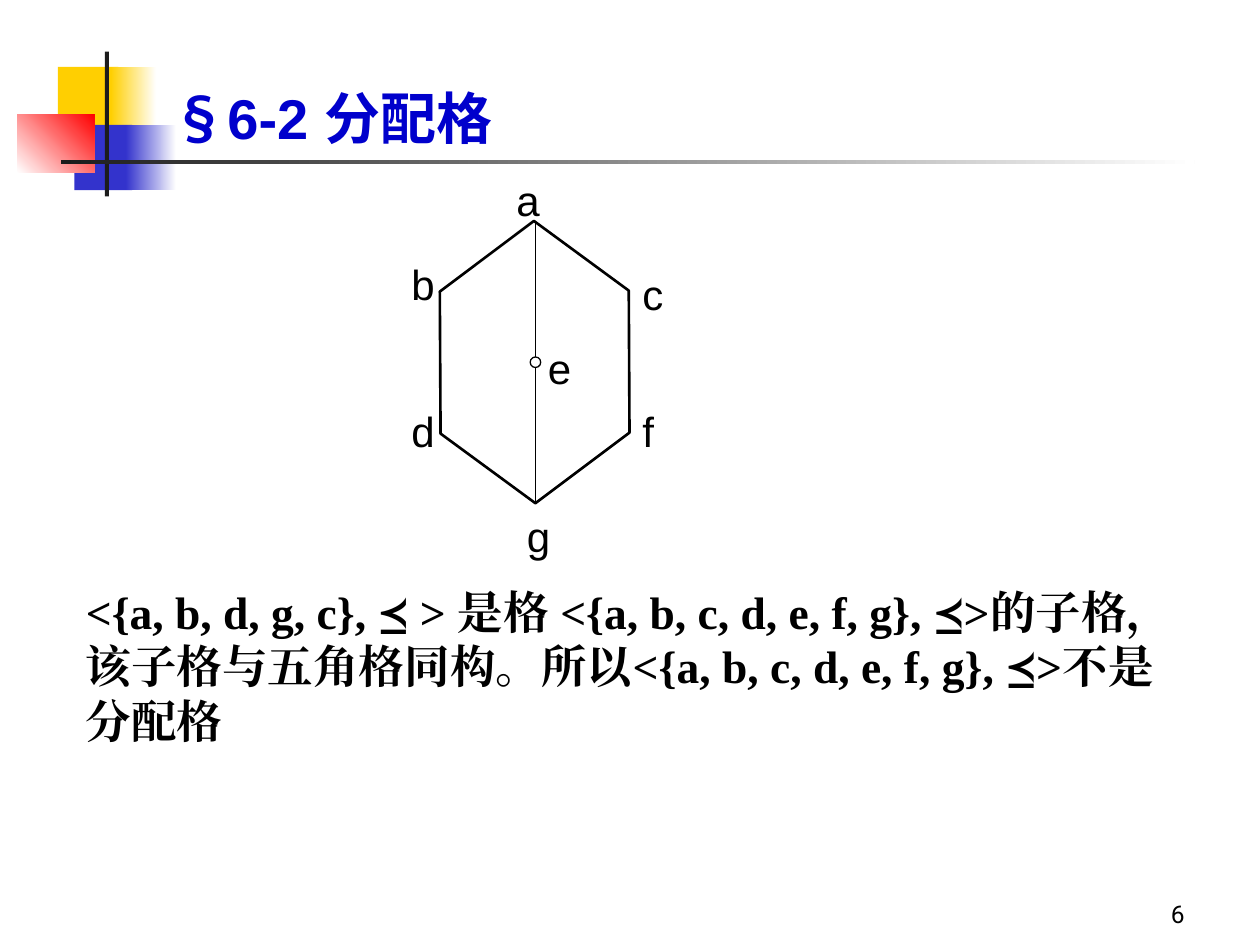
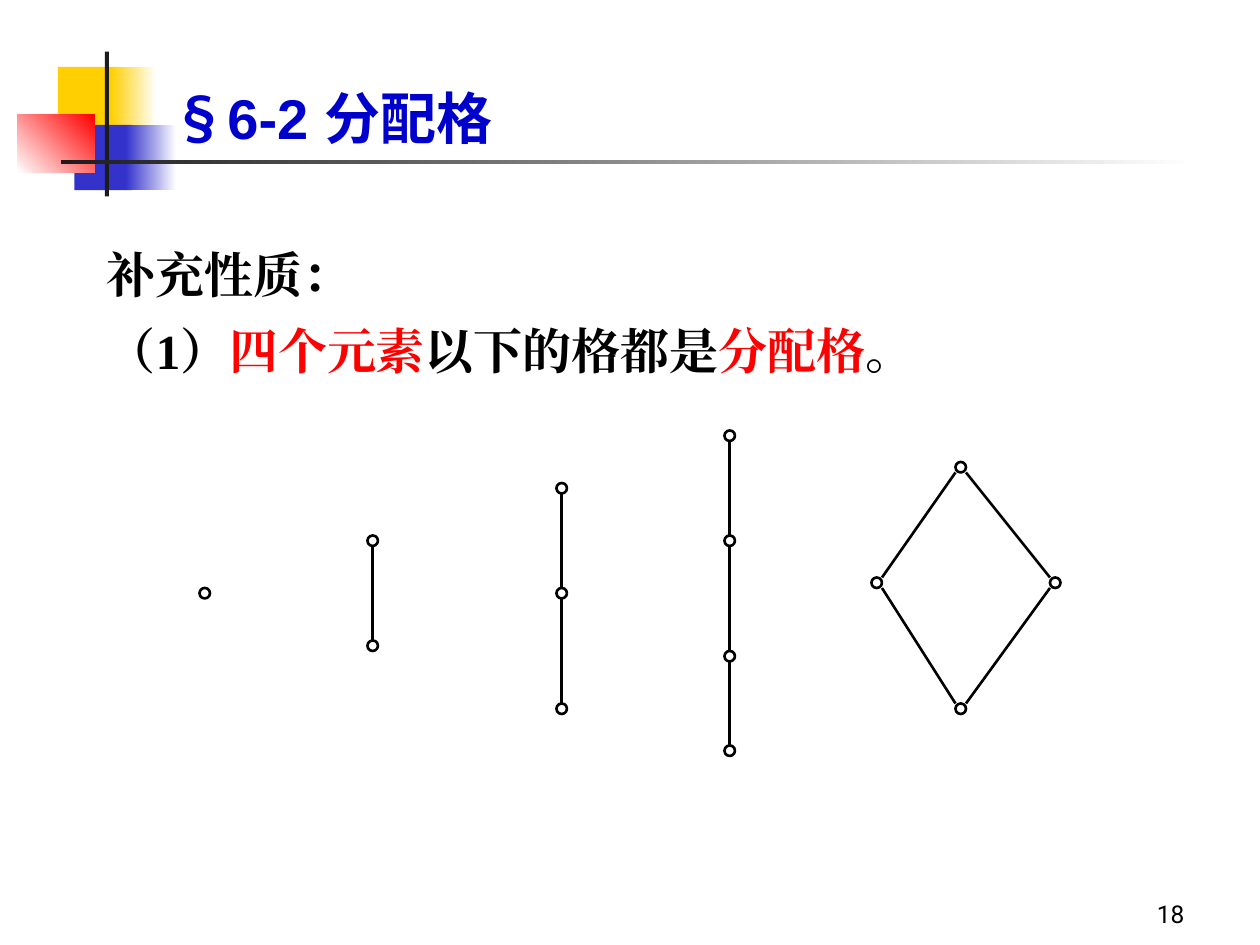
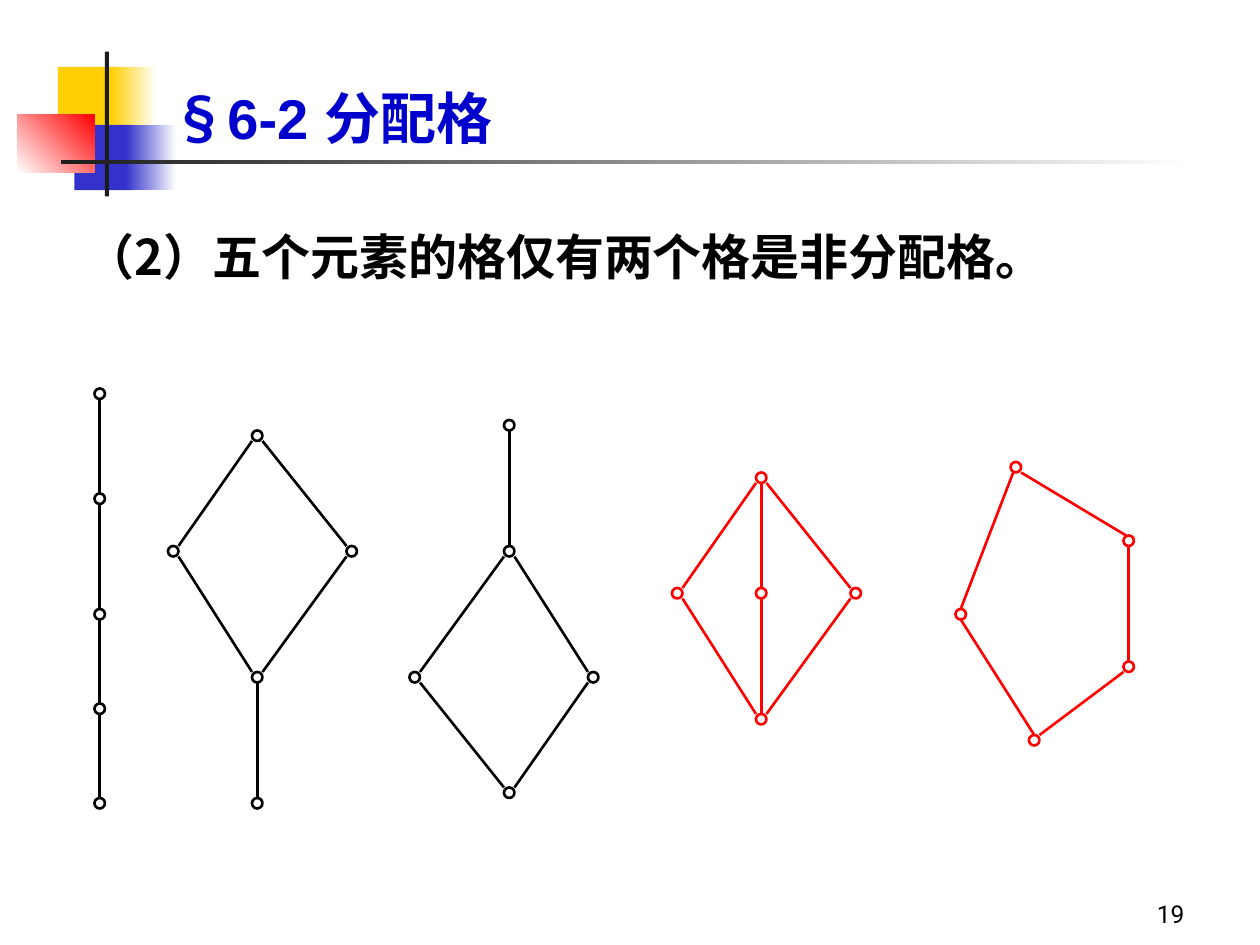
"""Build three slides on distributive lattices with their Hasse diagrams."""
from dataclasses import dataclass
from itertools import pairwise
from typing import Any

from lxml.etree import SubElement
from pptx import Presentation
from pptx.dml.color import RGBColor
from pptx.enum.shapes import MSO_CONNECTOR, MSO_SHAPE
from pptx.enum.text import MSO_ANCHOR, MSO_AUTO_SIZE, PP_ALIGN
from pptx.oxml.ns import qn
from pptx.util import Pt

BLACK, WHITE, RED = "000000", "FFFFFF", "FF0000"
YELLOW, BLUE, CHARCOAL, TITLE_BLUE = "FFCF01", "3333CC", "1C1C1C", "0000CC"
SANS, SERIF, LATIN, NUMBER = "Noto Sans CJK SC", "Times New Roman", "Arial", "Roboto"
RADIUS = 3
TITLE_ONLY = 5


@dataclass(frozen=True)
class Box:
    left: float
    top: float
    width: float
    height: float

    def lengths(self) -> tuple[Pt, ...]:
        return tuple(Pt(v) for v in (self.left, self.top, self.width, self.height))


@dataclass(frozen=True)
class Band:
    box: Box
    start: str
    end: str | None = None
    angle: float = 0


@dataclass(frozen=True)
class Span:
    text: str
    size: float
    font: str
    color: str = BLACK
    bold: bool = False
    east_asian: str | None = None


@dataclass(frozen=True)
class Node:
    x: float
    y: float


@dataclass(frozen=True)
class Edge:
    start: Node
    end: Node
    start_lean: float = RADIUS
    end_lean: float = RADIUS


@dataclass(frozen=True)
class Diagram:
    nodes: list[Node]
    edges: list[Edge]
    color: str = BLACK


BANDS = [
    Band(Box(33.1, 38.2, 34.6, 37.4), YELLOW),
    Band(Box(63.4, 38.2, 25.9, 37.4), YELLOW, WHITE),
    Band(Box(42.5, 71.3, 33.1, 37.4), BLUE),
    Band(Box(72, 71.3, 28.8, 37.4), BLUE, WHITE),
    Band(Box(10, 65.4, 44, 33.3), WHITE, RED, 45),
    Band(Box(60, 29.5, 2.2, 82.8), CHARCOAL),
    Band(Box(34.7, 91.5, 648, 2.4), CHARCOAL, WHITE),
]
TITLE_BOX = Box(90.7, 0, 613.4, 90)
NUMBER_BOX = Box(534, 498, 150, 36)
TITLE = [
    Span("§", 32, SANS, TITLE_BLUE, True, SANS),
    Span("6-2 ", 32, LATIN, TITLE_BLUE, True),
    Span("分配格", 32, SANS, TITLE_BLUE, True, SANS),
]
LABELS = {
    "a": (288, 96), "b": (228, 144), "c": (360, 150), "d": (228, 228),
    "f": (360, 228), "g": (294, 288), "e": (306, 192),
}


def rgb(color: str) -> RGBColor:
    return RGBColor.from_string(color)


def apply_format(target: Any, values: dict[str, Any]) -> None:
    for name, value in values.items():
        setattr(target, name, value)


def draw_band(slide: Any, band: Band) -> Any:
    shape = slide.shapes.add_shape(MSO_SHAPE.RECTANGLE, *band.box.lengths())
    shape.shadow.inherit = False
    shape.line.fill.background()
    if band.end is None:
        shape.fill.solid()
        shape.fill.fore_color.rgb = rgb(band.start)
    else:
        shape.fill.gradient()
        shape.fill.gradient_angle = band.angle
        for stop, color in zip(shape.fill.gradient_stops, (band.start, band.end)):
            stop.color.rgb = rgb(color)
    return shape


def decorate_master(presentation: Any, slide: Any) -> None:
    tree = presentation.slide_master.shapes.element
    for index, band in enumerate(BANDS):
        element = draw_band(slide, band).element
        element.xpath(".//p:cNvPr")[0].set("id", str(20 + index))
        tree.insert(2 + index, element)


def fill_paragraph(paragraph: Any, spans: list[Span]) -> None:
    for span in spans:
        run = paragraph.add_run()
        run.text = span.text
        apply_format(run.font, {"size": Pt(span.size), "name": span.font, "bold": span.bold})
        run.font.color.rgb = rgb(span.color)
        if span.east_asian:
            SubElement(run.font._element, qn("a:ea")).set("typeface", span.east_asian)


def add_text(slide: Any, box: Box, paragraphs: list[list[Span]],
             anchor: Any = MSO_ANCHOR.TOP, **values: Any) -> None:
    frame = slide.shapes.add_textbox(*box.lengths()).text_frame
    apply_format(frame, {"word_wrap": True, "vertical_anchor": anchor})
    for index, spans in enumerate(paragraphs):
        paragraph = frame.add_paragraph() if index else frame.paragraphs[0]
        apply_format(paragraph, values)
        fill_paragraph(paragraph, spans)


def add_titled_slide(presentation: Any, number: int) -> Any:
    slide = presentation.slides.add_slide(presentation.slide_layouts[TITLE_ONLY])
    title = slide.shapes.title
    apply_format(title, dict(zip(("left", "top", "width", "height"), TITLE_BOX.lengths())))
    apply_format(title.text_frame, {
        "word_wrap": True,
        "auto_size": MSO_AUTO_SIZE.NONE,
        "vertical_anchor": MSO_ANCHOR.BOTTOM,
    })
    paragraph = title.text_frame.paragraphs[0]
    paragraph.alignment = PP_ALIGN.LEFT
    fill_paragraph(paragraph, TITLE)
    add_text(slide, NUMBER_BOX, [[Span(str(number), 14, NUMBER)]],
             MSO_ANCHOR.BOTTOM, alignment=PP_ALIGN.RIGHT)
    return slide


def draw_outline(slide: Any, kind: Any, box: Box, color: str, width: float) -> Any:
    shape = slide.shapes.add_shape(kind, *box.lengths())
    shape.shadow.inherit = False
    shape.fill.background()
    shape.line.color.rgb = rgb(color)
    shape.line.width = Pt(width)
    return shape


def draw_node(slide: Any, node: Node, color: str, width: float = 1.5) -> None:
    box = Box(node.x - RADIUS, node.y - RADIUS, 2 * RADIUS, 2 * RADIUS)
    draw_outline(slide, MSO_SHAPE.OVAL, box, color, width)


def draw_line(slide: Any, start: Node, end: Node, color: str, width: float = 1.5) -> None:
    ends = (Pt(v) for v in (start.x, start.y, end.x, end.y))
    line = slide.shapes.add_connector(MSO_CONNECTOR.STRAIGHT, *ends)
    line.line.color.rgb = rgb(color)
    line.line.width = Pt(width)
    SubElement(line.element.spPr, qn("a:effectLst"))


def sign(value: float) -> int:
    return (value > 0) - (value < 0)


def draw_edge(slide: Any, edge: Edge, color: str) -> None:
    across = sign(edge.end.x - edge.start.x)
    down = sign(edge.end.y - edge.start.y) * RADIUS
    start = Node(edge.start.x + across * edge.start_lean, edge.start.y + down)
    end = Node(edge.end.x - across * edge.end_lean, edge.end.y - down)
    draw_line(slide, start, end, color)


def draw_diagram(slide: Any, diagram: Diagram) -> None:
    for node in diagram.nodes:
        draw_node(slide, node, diagram.color)
    for edge in diagram.edges:
        draw_edge(slide, edge, diagram.color)


def chain(x: float, *heights: float) -> Diagram:
    nodes = [Node(x, y) for y in heights]
    return Diagram(nodes, [Edge(*pair) for pair in pairwise(nodes)])


def diamond(x: float, y: float, turn: int = 1, middle: float | None = None,
            tail: float | None = None, color: str = BLACK) -> Diagram:
    offsets = ((0, 0), (-48, 66), (54, 66), (0, 138))
    first, near, far, last = nodes = [Node(x + turn * dx, y + turn * dy) for dx, dy in offsets]
    edges = [Edge(first, near), Edge(first, far), Edge(near, last), Edge(far, last)]
    if middle is not None:
        center = Node(x, middle)
        nodes.append(center)
        edges += [Edge(first, center), Edge(center, last)]
    if tail is not None:
        tip = Node(x, tail)
        nodes.append(tip)
        edges.append(Edge(last, tip))
    return Diagram(nodes, edges, color)


def pentagon() -> Diagram:
    top, left, bottom = Node(580.5, 267), Node(549, 351), Node(591, 423)
    upper_right, lower_right = Node(645, 309), Node(645, 381)
    edges = [
        Edge(top, left, 1.5, 0),
        Edge(left, bottom, 0, 0),
        Edge(top, upper_right, RADIUS, 1.5),
        Edge(upper_right, lower_right),
        Edge(lower_right, bottom),
    ]
    return Diagram([top, left, bottom, upper_right, lower_right], edges, RED)


def build_sublattice(slide: Any) -> None:
    hexagon = draw_outline(slide, MSO_SHAPE.HEXAGON, Box(224.9, 152.9, 161.3, 108), BLACK, 1.5)
    hexagon.rotation = 269.7
    for index, value in enumerate((0.371, 1.155)):
        hexagon.adjustments[index] = value
    center = Node(306, 207)
    draw_node(slide, center, BLACK, 0.75)
    for tip, side in ((126, -RADIUS), (288, RADIUS)):
        draw_line(slide, Node(center.x, tip), Node(center.x, center.y + side), BLACK, 0.75)
    for label, (left, top) in LABELS.items():
        add_text(slide, Box(left, top, 36, 36), [[Span(label, 24, LATIN)]])
    sentence = ("<{a, b, d, g, c}, ≼ > 是格 <{a, b, c, d, e, f, g}, ≼>的子格，"
                "该子格与五角格同构。所以<{a, b, c, d, e, f, g}, ≼>不是分配格")
    add_text(slide, Box(42, 330, 648, 101.5),
             [[Span(sentence, 26, SERIF, bold=True, east_asian=SERIF)]])


def build_small_lattices(slide: Any) -> None:
    parts = [("（1）", BLACK), ("四个元素", RED), ("以下的格都是", BLACK),
             ("分配格", RED), ("。", BLACK)]
    lines = [[("补充性质：", BLACK)], parts]
    paragraphs = [[Span(text, 28, SERIF, color, True, SERIF) for text, color in line]
                  for line in lines]
    add_text(slide, Box(54, 126, 600, 95), paragraphs, line_spacing=1.3)
    for diagram in (
        chain(117, 339),
        chain(213, 309, 369),
        chain(321, 279, 339, 405),
        chain(417, 249, 309, 375, 429),
        diamond(549, 267),
    ):
        draw_diagram(slide, diagram)


def build_five_element_lattices(slide: Any) -> None:
    add_text(slide, Box(42, 126, 606, 41),
             [[Span("（2）五个元素的格仅有两个格是非分配格。", 28, SANS, bold=True, east_asian=SANS)]])
    for diagram in (
        chain(57, 225, 285, 351, 405, 459),
        diamond(147, 249, tail=459),
        diamond(291, 453, turn=-1, tail=243),
        diamond(435, 273, middle=339, color=RED),
        pentagon(),
    ):
        draw_diagram(slide, diagram)


def main() -> None:
    presentation = Presentation()
    apply_format(presentation, {"slide_width": Pt(720), "slide_height": Pt(540)})
    builders = {6: build_sublattice, 18: build_small_lattices, 19: build_five_element_lattices}
    for number, build in builders.items():
        build(add_titled_slide(presentation, number))
    decorate_master(presentation, presentation.slides[0])
    presentation.save("out.pptx")


if __name__ == "__main__":
    main()
